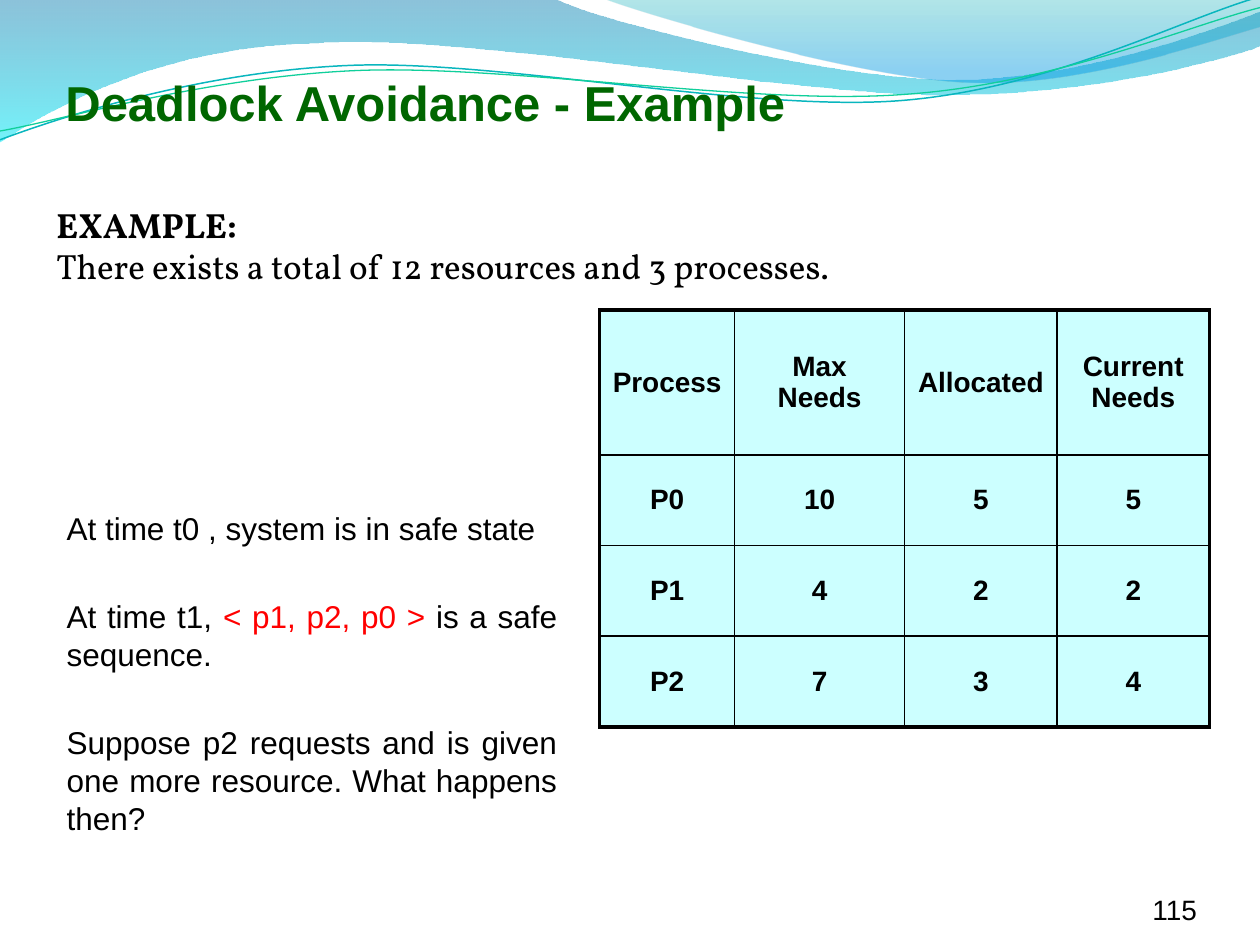
import math

import pptx
import pptx.dml.color
import pptx.enum.text
import pptx.oxml
import pptx.oxml.ns
import pptx.util
from pptx.util import Inches

RGBColor = pptx.dml.color.RGBColor
ALIGN = pptx.enum.text.PP_ALIGN
ANCHOR = pptx.enum.text.MSO_ANCHOR
BLACK = RGBColor(0x00, 0x00, 0x00)
RED = RGBColor(0xFF, 0x00, 0x00)
GREEN = RGBColor(0x00, 0x66, 0x00)
PALE_CYAN = RGBColor(0xCC, 0xFF, 0xFF)
TEAL = RGBColor(0x09, 0xB6, 0xBE)
MINT = RGBColor(0x10, 0xCF, 0x9B)
DEEP_BLUE = RGBColor(0x00, 0x79, 0xAD)
CYAN = RGBColor(0x00, 0xE9, 0xF7)
SEA = RGBColor(0x00, 0xAB, 0xB4)
SKY = RGBColor(0x00, 0x99, 0xE4)

# Each step holds one point (straight) or three points (cubic curve).
BANDS = [
    ((-0.01, -0.01, 10.02, 1.14),
     [[(0, 0)], [(4.4, -0.01)], [(4.76, 0.17), (6.64, 0.63), (7.58, 0.63)],
      [(8.53, 0.63), (9.58, 0.26), (10, 0.09)], [(10.01, 0.36)],
      [(9.83, 0.44), (8.7, 0.76), (7.46, 0.75)],
      [(6.22, 0.75), (3.82, 0.28), (2.57, 0.34)],
      [(1.29, 0.36), (0.46, 0.83), (-0.01, 1.13)], [(0, 0)]],
     [(0, DEEP_BLUE, 45), (100, CYAN, 55)]),
    ((4.79, -0.01, 5.21, 0.7),
     [[(4.79, -0.01)], [(5.09, 0.11), (6.82, 0.62), (7.69, 0.65)],
      [(8.56, 0.69), (9.61, 0.32), (10, 0.21)], [(10, 0)], [(4.79, -0.01)]],
     [(0, SEA, 30), (80, SKY, 45), (100, SKY, 45)]),
]
WAVES = [
    ((-0.02, 0.22, 10.02, 0.71),
     [[(0, 1.11)], [(0.48, 0.93), (1.58, 0.57), (2.77, 0.52)],
      [(3.95, 0.47), (5.93, 0.89), (7.13, 0.8)],
      [(8.33, 0.71), (9.38, 0.15), (9.98, -0.02)]],
     TEAL, 0.85),
    ((-0.02, 0.3, 10.03, 0.58),
     [[(0, 1.04)], [(0.47, 0.96), (1.64, 0.61), (2.83, 0.56)],
      [(4.03, 0.51), (5.97, 0.84), (7.17, 0.75)],
      [(8.36, 0.67), (9.41, 0.21), (10, 0.06)]],
     MINT, 0.75),
]
WAVE_TURN = 357.3

NEEDS = [
    ["Process", "Max Needs", "Allocated", "Current Needs"],
    ["P0", "10", "5", "5"],
    ["P1", "4", "2", "2"],
    ["P2", "7", "3", "4"],
]
COLUMN_WIDTHS = [1.07, 1.35, 1.21, 1.21]
ROW_HEIGHTS = [1.15, 0.72, 0.72, 0.72]


def set_all(target, values):
    for name, value in values.items():
        setattr(target, name, value)


def turn_back(point, frame, turn):
    """Undo a shape's rotation and measure the point from its frame's corner."""
    left, top, width, height = frame
    angle = math.radians(-turn)
    dx, dy = point[0] - left - width / 2, point[1] - top - height / 2
    return (Inches(width / 2 + dx * math.cos(angle) - dy * math.sin(angle)),
            Inches(height / 2 + dx * math.sin(angle) + dy * math.cos(angle)))


def add_outline(page, frame, steps, close=False, turn=0):
    """Draw the steps as a freeform, then bend the curved ones into cubics."""
    left, top, width, height = map(Inches, frame)
    local = [[turn_back(point, frame, turn) for point in step] for step in steps]
    ends = [step[-1] for step in local]
    builder = page.shapes.build_freeform(*ends[0], scale=1.0)
    builder.add_line_segments(ends[1:], close=close)
    shape = builder.convert_to_shape()
    set_all(shape, {"left": left, "top": top, "width": width, "height": height,
                    "rotation": turn})
    shape.shadow.inherit = False
    track = shape._element.spPr.find(".//" + pptx.oxml.ns.qn("a:path"))
    track.set("w", str(width))
    track.set("h", str(height))
    for command, step in zip(list(track), local):
        kind = "cubicBezTo" if len(step) == 3 else command.tag.split("}")[1]
        points = "".join(f'<a:pt x="{x}" y="{y}"/>' for x, y in step)
        track.replace(command, pptx.oxml.parse_xml(
            f'<a:{kind} {pptx.oxml.ns.nsdecls("a")}>{points}</a:{kind}>'))
    return shape


def add_band(page, frame, steps, stops):
    band = add_outline(page, frame, steps, close=True)
    band.line.fill.background()
    band.fill.gradient()
    band.fill.gradient_angle = 270
    stop_list = band._element.spPr.find(".//" + pptx.oxml.ns.qn("a:gsLst"))
    for old_stop in list(stop_list):
        stop_list.remove(old_stop)
    for position, color, opacity in stops:
        stop_list.append(pptx.oxml.parse_xml(
            f'<a:gs {pptx.oxml.ns.nsdecls("a")} pos="{position * 1000}">'
            f'<a:srgbClr val="{color}"><a:alpha val="{opacity * 1000}"/></a:srgbClr></a:gs>'))


def add_wave(page, frame, steps, color, width):
    wave = add_outline(page, frame, steps, turn=WAVE_TURN)
    wave.fill.background()
    wave.line.color.rgb = color
    wave.line.width = pptx.util.Pt(width)


def add_span(para, text, font, size, bold=False, color=BLACK):
    span = para.add_run()
    span.text = text
    set_all(span.font, {"name": font, "size": pptx.util.Pt(size), "bold": bold})
    span.font.color.rgb = color


def add_text(page, place, paras, font, size, para_format, **frame_format):
    """Each paragraph is a list of (text, span format) pairs."""
    box = page.shapes.add_textbox(*map(Inches, place))
    set_all(box.text_frame, {"word_wrap": True, **frame_format})
    for index, spans in enumerate(paras):
        para = box.text_frame.add_paragraph() if index else box.text_frame.paragraphs[0]
        set_all(para, para_format)
        if index == 0:
            para.space_before = pptx.util.Pt(0)
        for text, span_format in spans:
            add_span(para, text, font, size, **span_format)


def set_border(cell, side, width):
    cell._tc.get_or_add_tcPr().append(pptx.oxml.parse_xml(
        f'<a:ln{side} {pptx.oxml.ns.nsdecls("a")} w="{pptx.util.Pt(width)}">'
        f'<a:solidFill><a:srgbClr val="{BLACK}"/></a:solidFill></a:ln{side}>'))


def add_needs_table(page):
    last_row, last_column = len(NEEDS) - 1, len(COLUMN_WIDTHS) - 1
    table = page.shapes.add_table(
        len(NEEDS), len(COLUMN_WIDTHS), Inches(4.76), Inches(2.46),
        Inches(sum(COLUMN_WIDTHS)), Inches(sum(ROW_HEIGHTS))).table
    set_all(table, {"first_row": False, "horz_banding": False})
    for column, width in zip(table.columns, COLUMN_WIDTHS):
        column.width = Inches(width)
    for r, (row, height) in enumerate(zip(table.rows, ROW_HEIGHTS)):
        row.height = Inches(height)
        for c, cell in enumerate(row.cells):
            outer = {"L": c == 0, "R": c == last_column, "T": r == 0, "B": r == last_row}
            for side, is_outer in outer.items():
                set_border(cell, side, 2.25 if is_outer else 1)
            cell.fill.solid()
            cell.fill.fore_color.rgb = PALE_CYAN
            cell.vertical_anchor = ANCHOR.MIDDLE
            para = cell.text_frame.paragraphs[0]
            para.alignment = ALIGN.CENTER
            add_span(para, NEEDS[r][c], "Arial", 16, bold=True)


def main():
    deck = pptx.Presentation()
    set_all(deck, {"slide_width": Inches(10), "slide_height": Inches(7.5)})
    page = deck.slides.add_slide(deck.slide_layouts[6])
    for band in BANDS:
        add_band(page, *band)
    for wave in WAVES:
        add_wave(page, *wave)

    add_text(page, (0.35, 1.31, 8.46, 1.1),
             [[("EXAMPLE:", {"bold": True})],
              [("There exists a total of 12 resources and 3 processes.", {})]],
             "Vollkorn", 20,
             {"alignment": ALIGN.JUSTIFY, "line_spacing": 0.8, "space_before": pptx.util.Pt(4)},
             margin_top=Inches(0.37))
    add_text(page, (8.67, 6.95, 0.83, 0.4), [[("115", {})]], "Arial", 16,
             {"alignment": ALIGN.RIGHT}, vertical_anchor=ANCHOR.BOTTOM,
             margin_left=0, margin_top=0, margin_right=0, margin_bottom=0)
    add_text(page, (0.43, 3.99, 4.09, 2.77),
             [[("At time t0 , system is in safe state", {})],
              [("At time t1, ", {}), ("< p1, p2, p0 > ", {"color": RED}),
               ("is a safe sequence. ", {})],
              [("Suppose p2 requests and is given one more resource. "
                "What happens then?", {})]],
             "Arial", 18,
             {"alignment": ALIGN.JUSTIFY, "space_before": pptx.util.Pt(28.8)})
    add_needs_table(page)
    add_text(page, (0.25, 0.53, 6.25, 0.57),
             [[("Deadlock Avoidance - Example", {"bold": True, "color": GREEN})]],
             "Arial", 28, {"alignment": ALIGN.CENTER})
    deck.save("out.pptx")


if __name__ == "__main__":
    main()
